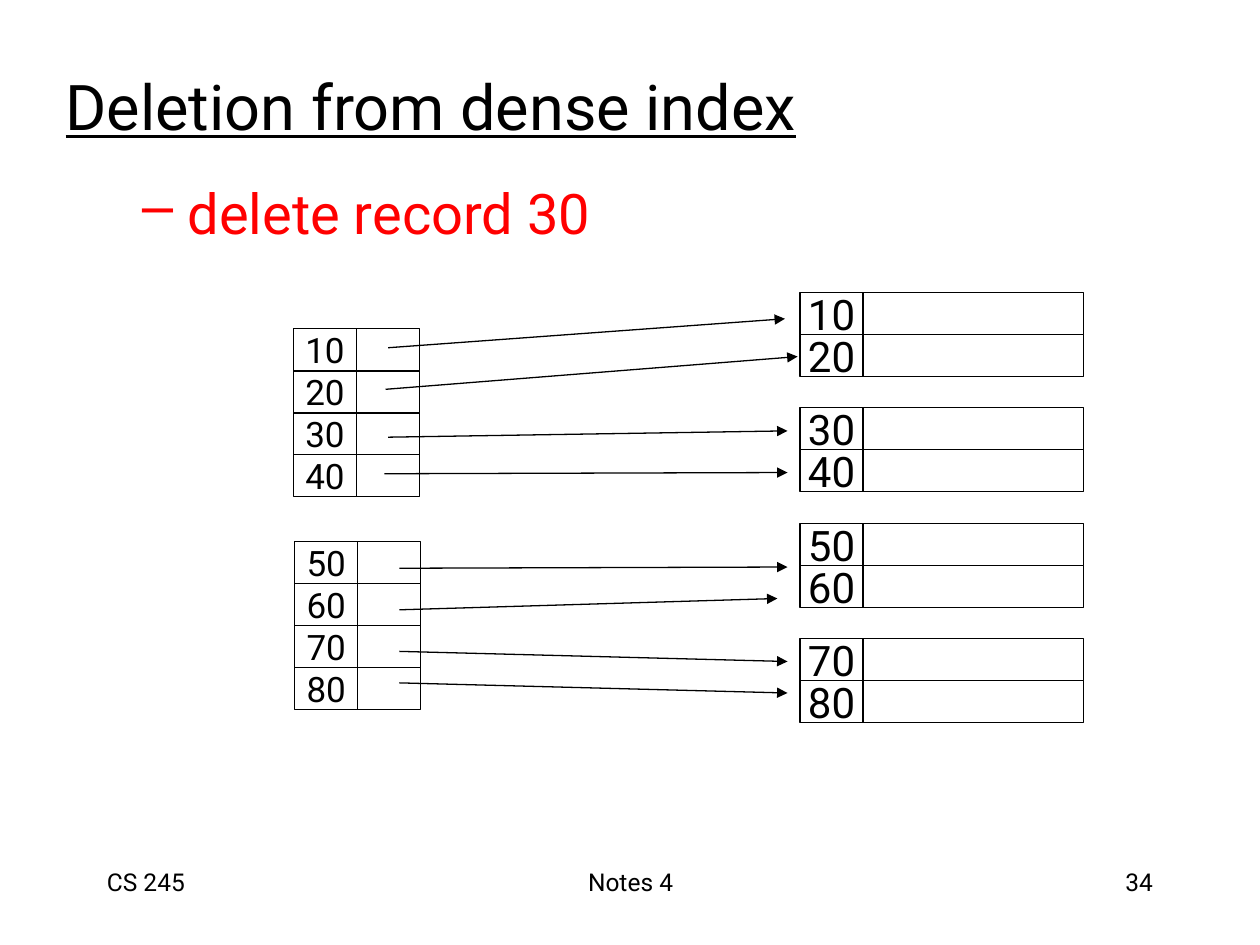
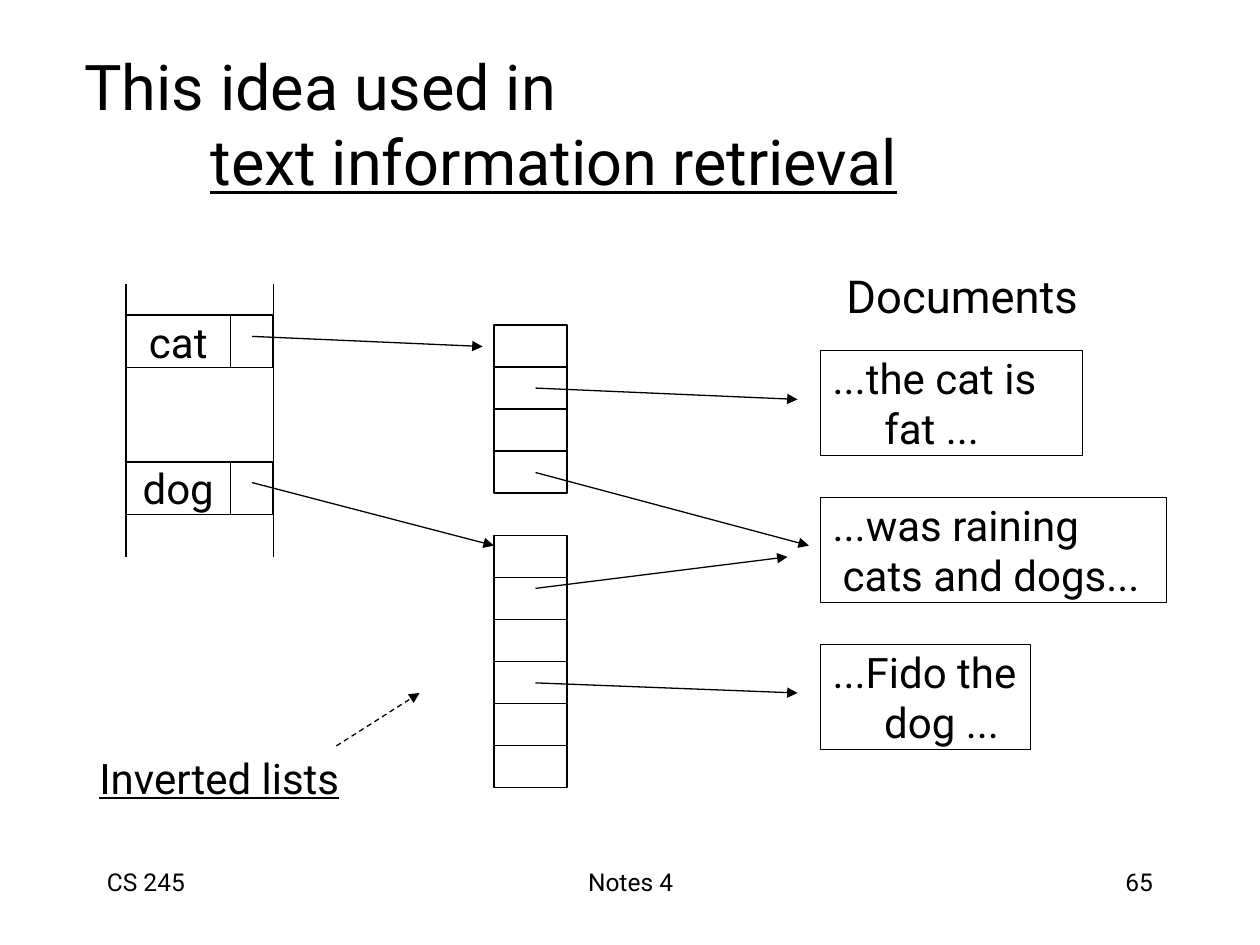
from dataclasses import dataclass
from typing import NamedTuple

from lxml import etree
from pptx import Presentation, util as u
from pptx.dml.color import RGBColor
from pptx.enum import dml, shapes, text
from pptx.oxml.ns import qn


@dataclass(frozen=True)
class Theme:
    font: str = "Roboto"
    ink: RGBColor = RGBColor(0, 0, 0)
    paper: RGBColor = RGBColor(255, 255, 255)
    alert: RGBColor = RGBColor(255, 0, 0)
    title: float = 36
    task: float = 32
    head: float = 25.9
    body: float = 24
    key: float = 20
    foot: float = 14
    line: float = 0.75


class Box(NamedTuple):
    x: float
    y: float
    w: float
    h: float


class Arrow(NamedTuple):
    x1: float
    y1: float
    x2: float
    y2: float
    head: bool = True
    dash: bool = False


class Block(NamedTuple):
    x: float
    y: float
    keys: tuple
    wide: float
    size: float


class Doc(NamedTuple):
    wide: float
    lines: str
    indent: float


THEME = Theme()
LEFT, MID, RIGHT = text.PP_ALIGN.LEFT, text.PP_ALIGN.CENTER, text.PP_ALIGN.RIGHT
ROW = 1 / 3
KEY = 0.5
STEP = 3.5 * ROW


def place(shape, box: Box) -> None:
    shape.left, shape.top, shape.width, shape.height = map(u.Inches, box)


def write(shape, words: str, size: float, align=LEFT, color=THEME.ink,
          middle: bool = True, wrap: bool = False):
    frame = shape.text_frame
    frame.text = words
    frame.auto_size = text.MSO_AUTO_SIZE.NONE
    frame.word_wrap = wrap
    frame.vertical_anchor = text.MSO_ANCHOR.MIDDLE if middle else text.MSO_ANCHOR.TOP
    for para in frame.paragraphs:
        para.alignment = align
        for run in para.runs:
            run.font.name = THEME.font
            run.font.size = u.Pt(size)
            run.font.color.rgb = color
    return frame.paragraphs


def indent(para, left: float, first: float = 0):
    props = para._p.get_or_add_pPr()
    props.set("marL", str(u.Inches(left)))
    props.set("indent", str(u.Inches(first)))
    return props


def label(slide, box: Box, words: str, size: float, **style):
    return write(slide.shapes.add_textbox(*map(u.Inches, box)), words, size, **style)


def cell(slide, box: Box, words: str = "", size: float = THEME.body, align=MID):
    rect = slide.shapes.add_shape(shapes.MSO_SHAPE.RECTANGLE, *map(u.Inches, box))
    rect.shadow.inherit = False
    rect.fill.solid()
    rect.fill.fore_color.rgb = THEME.paper
    rect.line.color.rgb = THEME.ink
    rect.line.width = u.Pt(THEME.line)
    return write(rect, words, size, align)


def draw(slide, arrow: Arrow) -> None:
    link = slide.shapes.add_connector(
        shapes.MSO_CONNECTOR.STRAIGHT, *map(u.Inches, arrow[:4]))
    link.line.color.rgb = THEME.ink
    link.line.width = u.Pt(THEME.line)
    if arrow.dash:
        link.line.dash_style = dml.MSO_LINE.DASH
    if arrow.head:
        etree.SubElement(link.line._ln, qn("a:tailEnd"), type="triangle")
    etree.SubElement(link._element.spPr, qn("a:effectLst"))


def stack(slide, block: Block) -> None:
    for i, key in enumerate(block.keys):
        y = block.y + i * ROW
        cell(slide, Box(block.x, y, KEY, ROW), str(key), block.size)
        cell(slide, Box(block.x + KEY, y, block.wide, ROW))


def start(deck, words: str, box: Box, page: int):
    slide = deck.slides.add_slide(deck.slide_layouts[5])
    title = slide.shapes.title
    place(title, box)
    paras = write(title, words, THEME.title, wrap=True)
    for run in paras[-1].runs:
        run.font.underline = True
    feet = ((0.75, 2.08, "CS 245", LEFT), (3.42, 3.17, "Notes 4", MID),
            (7.17, 2.08, str(page), RIGHT))
    for x, w, note, align in feet:
        label(slide, Box(x, 6.83, w, 0.5), note, THEME.foot,
              align=align, middle=False, wrap=True)
    return slide, paras


def dense(deck) -> None:
    slide, _ = start(deck, "Deletion from dense index", Box(0.42, 0.42, 8.5, 0.83), 34)
    task = label(slide, Box(0.55, 1.36, 4.45, 0.64), "delete record 30",
                 THEME.task, color=THEME.alert, wrap=True)[0]
    task.level = 1
    props = indent(task, 0.84, -0.36)
    etree.SubElement(props, qn("a:buChar"), char="–")

    for i in range(4):
        keys = (20 * i + 10, 20 * i + 20)
        stack(slide, Block(6.35, 2.32 + i * (2 * ROW + 0.25), keys, 1.75, THEME.body))
    stack(slide, Block(2.33, 2.61, (10, 20, 30, 40), KEY, THEME.key))
    stack(slide, Block(2.34, 4.3, (50, 60, 70, 80), KEY, THEME.key))

    for arrow in (
        Arrow(3.08, 2.76, 6.23, 2.53),
        Arrow(3.06, 3.09, 6.33, 2.83),
        Arrow(3.08, 3.47, 6.25, 3.42),
        Arrow(3.05, 3.76, 6.25, 3.75),
        Arrow(3.17, 4.51, 6.25, 4.5),
        Arrow(3.17, 4.84, 6.17, 4.75),
        Arrow(3.17, 5.17, 6.25, 5.25),
        Arrow(3.17, 5.42, 6.25, 5.5),
    ):
        draw(slide, arrow)


def lists(deck) -> None:
    slide, paras = start(deck, "This idea used in\ntext information retrieval",
                         Box(0.57, 0.35, 8.5, 1.25), 65)
    for para in paras:
        para.space_before = u.Pt(0)
    indent(paras[1], 1)

    label(slide, Box(6.62, 2.08, 2.24, 0.74), "Documents", THEME.head, middle=False)
    docs = (Doc(2.08, "...the cat is\nfat ...", 0.41),
            Doc(2.75, "...was raining\ncats and dogs...", 0.08),
            Doc(1.67, "...Fido the\ndog ...", 0.41))
    for i, doc in enumerate(docs):
        box = Box(6.51, 2.78 + i * STEP, doc.wide, 2.5 * ROW)
        lines = cell(slide, box, doc.lines, align=LEFT)
        indent(lines[1], doc.indent)

    note = label(slide, Box(0.69, 5.92, 2.22, 0.5), "Inverted lists", THEME.body)[0]
    note.runs[0].font.underline = True

    for top, count in ((2.58, 4), (4.25, 6)):
        for i in range(count):
            cell(slide, Box(3.92, top + i * ROW, 0.58, ROW))
    for i, word in enumerate(("cat", "dog")):
        y = 2.5 + i * STEP
        cell(slide, Box(1, y, 0.83, 1.25 * ROW), word)
        cell(slide, Box(1.83, y, ROW, 1.25 * ROW))

    for x in (1, 2.17):
        draw(slide, Arrow(x, 2.25, x, 4.42, head=False))
    for arrow in (
        Arrow(2, 2.67, 3.83, 2.75),
        Arrow(2, 3.83, 3.92, 4.33),
        Arrow(2.67, 5.92, 3.33, 5.5, dash=True),
        Arrow(4.25, 3.08, 6.33, 3.17),
        Arrow(4.25, 3.75, 6.42, 4.33),
        Arrow(4.25, 4.67, 6.25, 4.42),
        Arrow(4.25, 5.42, 6.33, 5.5),
    ):
        draw(slide, arrow)


def main() -> None:
    deck = Presentation()
    deck.slide_width, deck.slide_height = u.Inches(10), u.Inches(7.5)
    dense(deck)
    lists(deck)
    deck.save("out.pptx")


if __name__ == "__main__":
    main()
